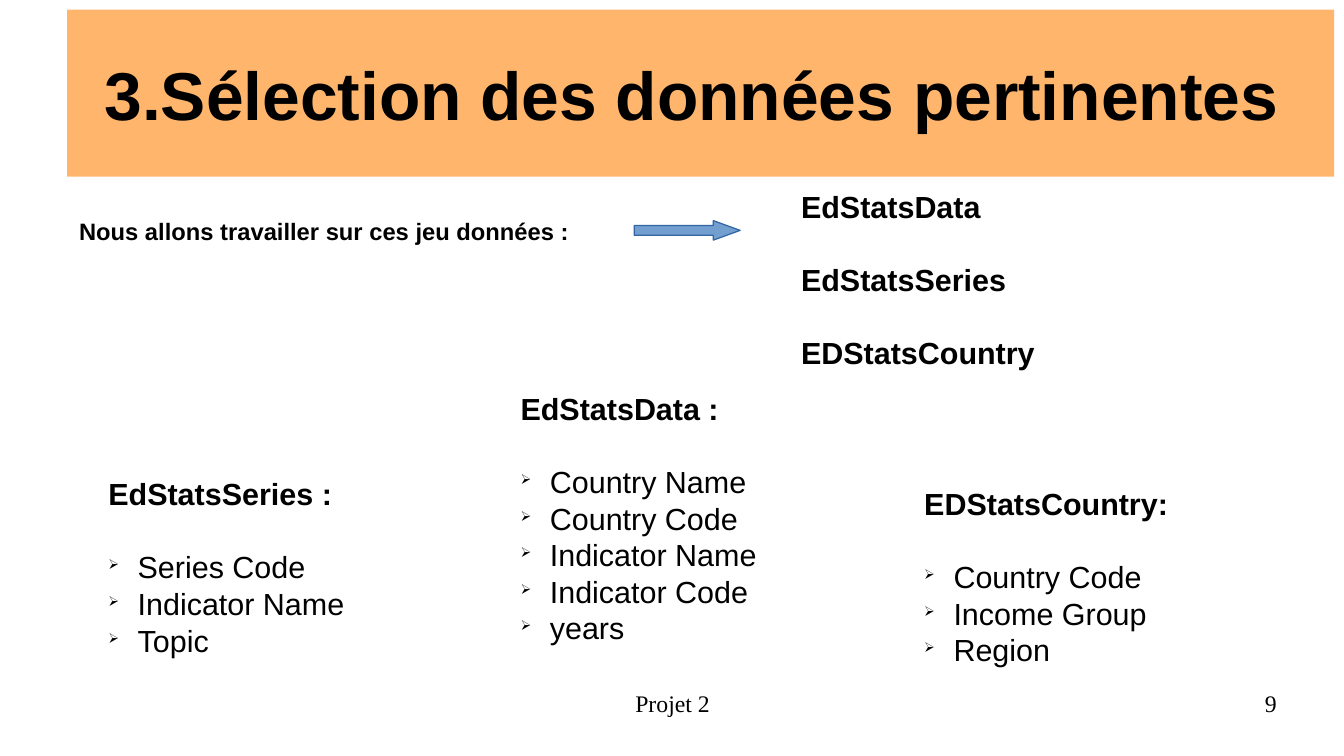
from lxml.etree import SubElement
from pptx import Presentation
from pptx.dml.color import RGBColor
from pptx.enum.shapes import MSO_SHAPE
from pptx.enum.text import MSO_ANCHOR, PP_ALIGN
from pptx.oxml.ns import qn
from pptx.util import Pt

BLACK = "000000"
BLANK_LINE = 21.5
LIST_WIDTH = 165


def color(value):
    return RGBColor.from_string(value)


def write(para, text, font="Arial", size=18, bold=False, align=PP_ALIGN.LEFT, before=0):
    para.alignment = align
    para.space_before = Pt(before)
    span = para.add_run()
    span.text = text
    span.font.name = font
    span.font.size = Pt(size)
    span.font.bold = bold
    span.font.color.rgb = color(BLACK)


def add_bullet(para, char="➢", indent=17.3, percent=45):
    properties = para._p.get_or_add_pPr()
    properties.set("marL", str(Pt(indent)))
    properties.set("indent", str(-Pt(indent)))
    bullet_color = SubElement(properties, qn("a:buClr"))
    SubElement(bullet_color, qn("a:srgbClr"), val=BLACK)
    SubElement(properties, qn("a:buSzPct"), val=str(percent * 1000))
    SubElement(properties, qn("a:buChar"), char=char)


class SlideBuilder:
    def __init__(self, page):
        self.page = page

    def shape(self, kind, left, top, width, height, fill, line=None):
        box = self.page.shapes.add_shape(kind, Pt(left), Pt(top), Pt(width), Pt(height))
        box.shadow.inherit = False
        box.fill.solid()
        box.fill.fore_color.rgb = color(fill)
        if line:
            box.line.color.rgb = color(line)
            box.line.width = Pt(0)
        else:
            box.line.fill.background()
        return box

    def title(self, text, left, top, width, height):
        box = self.shape(MSO_SHAPE.RECTANGLE, left, top, width, height, "FFB66C")
        frame = self.frame(box, 0, 0)
        frame.vertical_anchor = MSO_ANCHOR.MIDDLE
        write(frame.paragraphs[0], text, size=40, bold=True, align=PP_ALIGN.CENTER)

    def arrow(self, left, top, width, height):
        arrow = self.shape(MSO_SHAPE.RIGHT_ARROW, left, top, width, height, "729FCF", "3465A4")
        arrow.adjustments[0] = 0.5
        arrow.adjustments[1] = 1.375

    def frame(self, box, side, end):
        frame = box.text_frame
        frame.word_wrap = True
        frame.margin_left = frame.margin_right = Pt(side)
        frame.margin_top = frame.margin_bottom = Pt(end)
        return frame

    def text(self, lines, left, top, width, height, side=7.2, end=3.6, before=0, **style):
        """Write one paragraph per line, with `before` points between them."""
        box = self.page.shapes.add_textbox(Pt(left), Pt(top), Pt(width), Pt(height))
        frame = self.frame(box, side, end)
        for index, line in enumerate(lines):
            para = frame.add_paragraph() if index else frame.paragraphs[0]
            write(para, line, before=before if index else 0, **style)
        return frame

    def field_list(self, heading, fields, left, top, height):
        frame = self.text([heading], left, top, LIST_WIDTH, height, bold=True)
        for index, field in enumerate(fields):
            para = frame.add_paragraph()
            add_bullet(para)
            write(para, field, before=0 if index else BLANK_LINE)

    def footer(self, text, left, width, align):
        self.text([text], left, 406.8, width, 31, side=0, end=0,
                  font="Times New Roman", size=14, align=align)


def main():
    deck = Presentation()
    deck.slide_width, deck.slide_height = Pt(793.44), Pt(446.4)
    builder = SlideBuilder(deck.slides.add_slide(deck.slide_layouts[6]))

    builder.title("3.Sélection des données pertinentes ", 39.6, 5.76, 748.1, 98.6)
    builder.text(["Nous allons travailler sur ces jeu données :"],
                 39.6, 124.56, 334.8, 38.2, size=14, bold=True)
    builder.arrow(374.4, 130.3, 62.6, 11.5)
    builder.text(["EdStatsData", "EdStatsSeries", "EDStatsCountry"],
                 465.84, 107.3, 265.7, 108, before=BLANK_LINE, bold=True)

    builder.field_list("EdStatsSeries :", ["Series Code", "Indicator Name", "Topic"],
                       56.9, 277.2, 128.2)
    builder.field_list("EdStatsData :",
                       ["Country Name", "Country Code", "Indicator Name",
                        "Indicator Code", "years"],
                       300.24, 226.8, 148.3)
    builder.field_list("EDStatsCountry:", ["Country Code", "Income Group", "Region"],
                       538.56, 283, 108)

    builder.footer("Projet 2", 271.44, 251.3, PP_ALIGN.CENTER)
    builder.footer("9", 568.8, 185, PP_ALIGN.RIGHT)
    deck.save("out.pptx")


if __name__ == "__main__":
    main()
